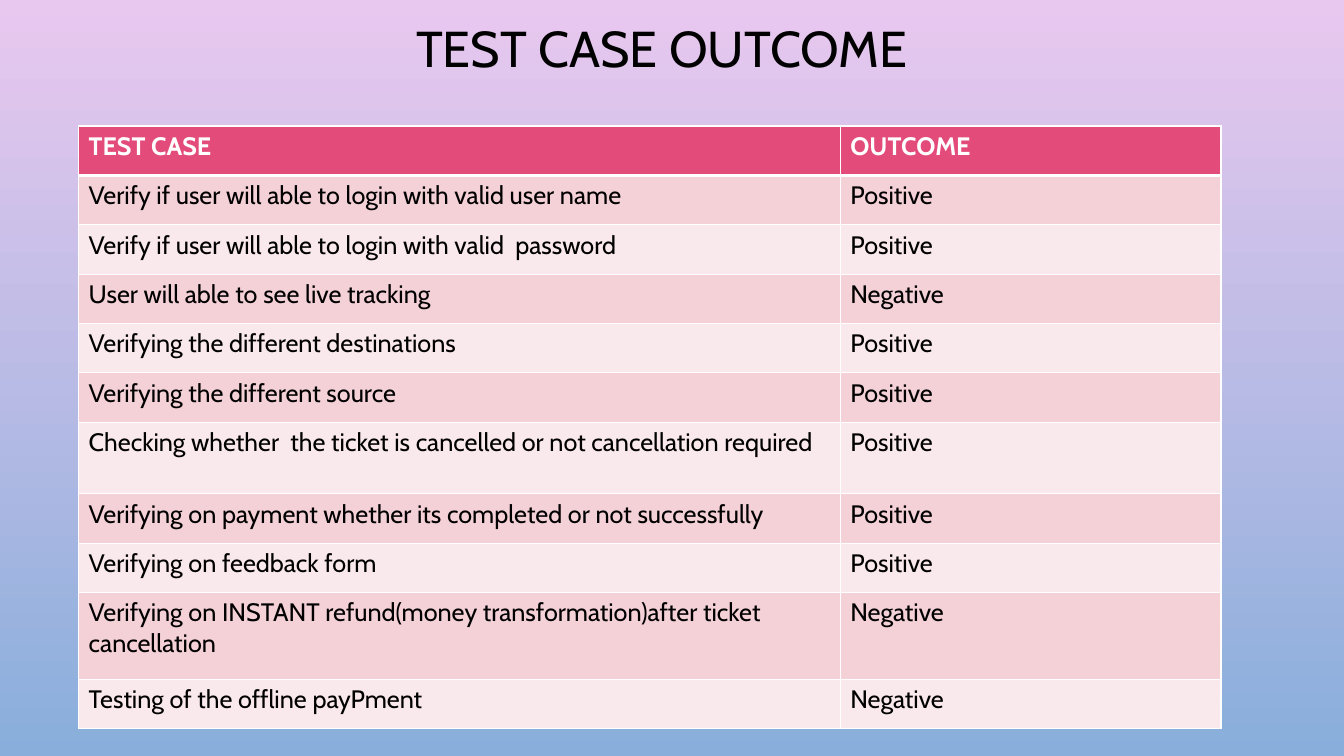
from dataclasses import dataclass

from pptx import Presentation
from pptx.dml.color import RGBColor as RGB
from pptx.enum.text import MSO_ANCHOR as ANCHOR, PP_ALIGN as ALIGN
from pptx.oxml import parse_xml
from pptx.oxml.ns import nsdecls
from pptx.util import Inches, Pt


@dataclass(frozen=True)
class Theme:
    font: str = "Cabin"
    title_size: int = 36
    table_size: int = 18
    text: str = "000000"
    header_text: str = "FFFFFF"
    header_fill: str = "E34B7A"
    bands: tuple = ("F4D0D7", "FAE9EC")
    border: str = "FFFFFF"
    sky: tuple = ("E9C8EF", "89AEDB")


THEME = Theme()

HEADER = ("TEST CASE", "OUTCOME")
CASES = [
    ("Verify if user will able to login with valid user name", "Positive"),
    ("Verify if user will able to login with valid  password", "Positive"),
    ("User will able to see live tracking", "Negative"),
    ("Verifying the different destinations", "Positive"),
    ("Verifying the different source", "Positive"),
    ("Checking whether  the ticket is cancelled or not cancellation required", "Positive"),
    ("Verifying on payment whether its completed or not successfully", "Positive"),
    ("Verifying on feedback form", "Positive"),
    ("Verifying on INSTANT refund(money transformation)after ticket cancellation", "Negative"),
    ("Testing of the offline payPment", "Negative"),
]
ROW_HEIGHT = 0.49
TALL_ROWS = {6: 0.71, 9: 0.86}
CASE_SHARE = 2 / 3


def style_text(p, size, color, bold=False):
    for r in p.runs:
        r.font.name = THEME.font
        r.font.size = Pt(size)
        r.font.bold = bold
        r.font.color.rgb = RGB.from_string(color)


def paint_background(slide):
    fill = slide.background.fill
    fill.gradient()
    fill.gradient_angle = 270
    for stop, color in zip(fill.gradient_stops, THEME.sky):
        stop.color.rgb = RGB.from_string(color)


def add_title(slide, text, left, top, width, height):
    box = slide.shapes.add_textbox(Inches(left), Inches(top), Inches(width), Inches(height))
    tf = box.text_frame
    tf.word_wrap = True
    tf.vertical_anchor = ANCHOR.MIDDLE
    p = tf.paragraphs[0]
    p.text = text
    p.alignment = ALIGN.CENTER
    p.line_spacing = 0.9
    style_text(p, THEME.title_size, THEME.text)


def set_borders(cell, **widths):
    """Border widths in points, by side: L, R, T, B."""
    tc_pr = cell._tc.get_or_add_tcPr()
    for side, width in widths.items():
        tc_pr.append(parse_xml(
            f'<a:ln{side} {nsdecls("a")} w="{Pt(width)}"><a:solidFill>'
            f'<a:srgbClr val="{THEME.border}"/></a:solidFill></a:ln{side}>'))


def add_case_table(slide, left, top, width):
    rows = [HEADER, *CASES]
    heights = [TALL_ROWS.get(i, ROW_HEIGHT) for i in range(len(rows))]
    table = slide.shapes.add_table(
        len(rows), len(HEADER), Inches(left), Inches(top),
        Inches(width), Inches(sum(heights))).table
    table.columns[0].width = Inches(width * CASE_SHARE)
    table.columns[1].width = Inches(width * (1 - CASE_SHARE))

    for i, (row, height) in enumerate(zip(rows, heights)):
        table.rows[i].height = Inches(height)
        is_header = i == 0
        fill = THEME.header_fill if is_header else THEME.bands[(i - 1) % 2]
        color = THEME.header_text if is_header else THEME.text
        for j, text in enumerate(row):
            cell = table.cell(i, j)
            # The rule under the header is heavier than the grid
            set_borders(cell, L=1, R=1, T=3 if i == 1 else 1, B=3 if is_header else 1)
            cell.fill.solid()
            cell.fill.fore_color.rgb = RGB.from_string(fill)
            p = cell.text_frame.paragraphs[0]
            p.text = text
            style_text(p, THEME.table_size, color, bold=is_header)


def main():
    prs = Presentation()
    prs.slide_width, prs.slide_height = Inches(13.33), Inches(7.5)
    slide = prs.slides.add_slide(prs.slide_layouts[6])
    paint_background(slide)
    add_title(slide, "TEST CASE OUTCOME", 0.9, -0.31, 11.33, 1.64)
    add_case_table(slide, 0.78, 1.25, 11.33)
    prs.save("out.pptx")


if __name__ == "__main__":
    main()
